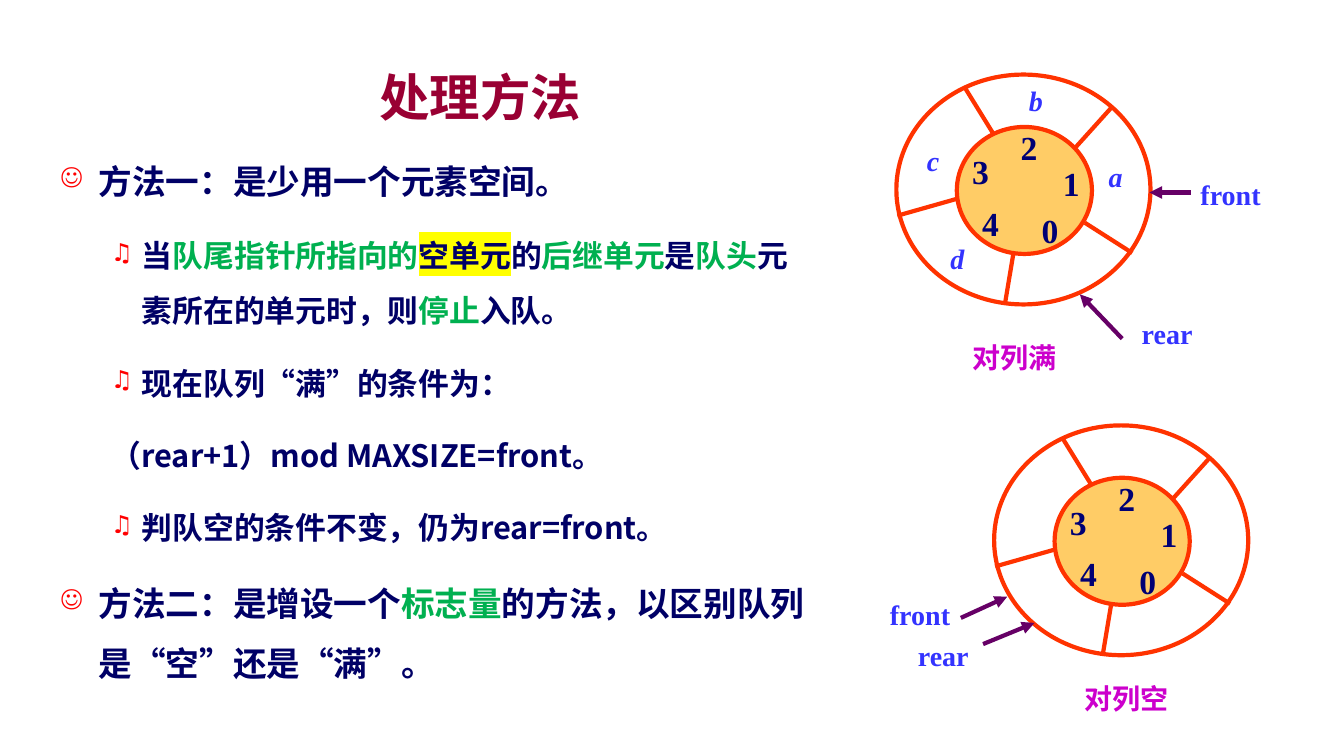
from lxml import etree
from pptx import Presentation
from pptx.dml.color import RGBColor
from pptx.enum.shapes import MSO_CONNECTOR, MSO_SHAPE
from pptx.enum.text import MSO_ANCHOR, PP_ALIGN
from pptx.oxml.ns import qn
from pptx.util import Inches, Pt

CENTER, LEFT = PP_ALIGN.CENTER, PP_ALIGN.LEFT
MIDDLE, TOP = MSO_ANCHOR.MIDDLE, MSO_ANCHOR.TOP
OVAL, STRAIGHT = MSO_SHAPE.OVAL, MSO_CONNECTOR.STRAIGHT

MAROON = RGBColor(0x99, 0x00, 0x33)
NAVY = RGBColor(0x00, 0x00, 0x66)
DIGIT = RGBColor(0x00, 0x00, 0x74)
GREEN = RGBColor(0x00, 0xB0, 0x50)
BLUE = RGBColor(0x33, 0x33, 0xFF)
MAGENTA = RGBColor(0xCC, 0x00, 0xCC)
PURPLE = RGBColor(0x66, 0x00, 0x66)
ORANGE = RGBColor(0xFF, 0x33, 0x00)
SAND = RGBColor(0xFF, 0xCC, 0x66)
RED = RGBColor(0xFF, 0x00, 0x00)
YELLOW = RGBColor(0xFF, 0xFF, 0x00)

CJK, SERIF = "Noto Sans CJK SC", "Times New Roman"

# Paragraph levels: bullet, left margin, first-line indent, size
METHOD = ("☺", 0.38, -0.38, 24)
DETAIL = ("♫", 0.81, -0.31, 22)
FORMULA = (None, 0.5, 0, 22)

# Each run is (text, colour, highlight)
BODY = [
    (METHOD, [("方法一：是少用一个元素空间。", NAVY, None)]),
    (DETAIL, [("当", NAVY, None), ("队尾指针所指向的", GREEN, None),
              ("空单元", NAVY, YELLOW), ("的", NAVY, None),
              ("后继单元", GREEN, None), ("是", NAVY, None),
              ("队头", GREEN, None), ("元素所在的单元时，则", NAVY, None),
              ("停止", GREEN, None), ("入队。", NAVY, None)]),
    (DETAIL, [("现在队列“满”的条件为：", NAVY, None)]),
    (FORMULA, [("（rear+1）mod MAXSIZE=front。", NAVY, None)]),
    (DETAIL, [("判队空的条件不变，仍为rear=front。", NAVY, None)]),
    (METHOD, [("方法二：是增设一个", NAVY, None), ("标志量", GREEN, None),
              ("的方法，以区别队列是“空”还是“满”。", NAVY, None)]),
]

# Ring parts, measured from the ring's top left corner
RING_W, RING_H = 2.52, 2.28
DISC = (0.6, 0.52, 1.34, 1.26)
DIVIDERS = [(1.87, 1.47, 2.34, 1.77), (1.78, 0.72, 2.14, 0.32),
            (0.68, 0.13, 0.97, 0.6), (1.16, 1.78, 1.08, 2.26),
            (0.01, 1.4, 0.61, 1.23)]
SLOTS = [(1.37, 1.34), (1.58, 0.88), (1.16, 0.52), (0.68, 0.76), (0.78, 1.27)]

FULL_QUEUE = {
    "items": [("a", 2.02, 0.84), ("b", 1.23, 0.09),
              ("c", 0.21, 0.68), ("d", 0.45, 1.66)],
    "pointers": [("front", 2.92, 1.02, (2.92, 1.17, 2.51, 1.17)),
                 ("rear", 2.29, 2.4, (2.24, 2.62, 1.82, 2.18))],
    "caption": ("对列满", 0.32, 2.59, 1.7),
}
EMPTY_QUEUE = {
    "items": [],
    "pointers": [("front", -1.13, 1.71, (-0.33, 1.91, 0.13, 1.7)),
                 ("rear", -0.9, 2.11, (-0.11, 2.17, 0.4, 1.96))],
    "caption": ("对列空", -0.11, 2.49, 2.85),
}


def add_child(parent, tag, **attrs):
    child = etree.SubElement(parent, qn(tag))
    for key, value in attrs.items():
        child.set(key, str(value))
    return child


def add_run(p, text, size, color, font=CJK, italic=False, highlight=None):
    r = p.add_run()
    r.text = text
    r.font.color.rgb = color
    rPr = r.font._element
    if highlight is not None:
        add_child(add_child(rPr, "a:highlight"), "a:srgbClr", val=highlight)
    style = {"size": Pt(size), "name": font, "bold": True, "italic": italic}
    for key, value in style.items():
        setattr(r.font, key, value)
    add_child(rPr, "a:ea", typeface=CJK)


def add_box(s, x, y, w, h, margins=(0.1, 0.05), anchor=TOP, align=CENTER):
    tf = s.shapes.add_textbox(*map(Inches, (x, y, w, h))).text_frame
    mx, my = map(Inches, margins)
    style = {"word_wrap": True, "vertical_anchor": anchor, "margin_left": mx,
             "margin_right": mx, "margin_top": my, "margin_bottom": my}
    for key, value in style.items():
        setattr(tf, key, value)
    tf.paragraphs[0].alignment = align
    return tf


def add_label(s, text, x, y, w, h, size, color, margins=(0, 0), italic=False):
    p = add_box(s, x, y, w, h, margins).paragraphs[0]
    add_run(p, text, size, color, SERIF, italic)


def add_line(s, x1, y1, x2, y2, color, arrow=False):
    line = s.shapes.add_connector(STRAIGHT, *map(Inches, (x1, y1, x2, y2)))
    line.line.color.rgb = color
    line.line.width = Pt(3)
    if arrow:
        add_child(line.line._get_or_add_ln(), "a:tailEnd", type="triangle")
    add_child(line._element.spPr, "a:effectLst")


def add_oval(s, x, y, w, h, fill=None):
    sp = s.shapes.add_shape(OVAL, *map(Inches, (x, y, w, h)))
    sp.shadow.inherit = False
    if fill is None:
        sp.fill.background()
    else:
        sp.fill.solid()
        sp.fill.fore_color.rgb = fill
    sp.line.color.rgb = ORANGE
    sp.line.width = Pt(3)


def add_title(s, x, y, w, h):
    tf = add_box(s, x, y, w, h, anchor=MIDDLE)
    add_run(tf.paragraphs[0], "处理方法", 36, MAROON)


def add_body(s, x, y, w, h):
    tf = add_box(s, x, y, w, h, align=LEFT)
    for i, ((bullet, margin, indent, size), runs) in enumerate(BODY):
        p = tf.add_paragraph() if i else tf.paragraphs[0]
        p.line_spacing = 1.5
        p.space_before = p.space_after = Pt(6)
        pPr = p._p.get_or_add_pPr()
        pPr.set("marL", str(Inches(margin)))
        pPr.set("indent", str(Inches(indent)))
        if bullet:
            add_child(add_child(pPr, "a:buClr"), "a:srgbClr", val=RED)
            add_child(pPr, "a:buSzPct", val=80000)
            add_child(pPr, "a:buChar", char=bullet)
        for text, color, highlight in runs:
            add_run(p, text, size, color, highlight=highlight)


def add_queue(s, x, y, queue):
    # Ring with its cells and slot numbers
    add_oval(s, x + DISC[0], y + DISC[1], *DISC[2:], fill=SAND)
    add_oval(s, x, y, RING_W, RING_H)
    for x1, y1, x2, y2 in DIVIDERS:
        add_line(s, x + x1, y + y1, x + x2, y + y2, ORANGE)
    for number, (dx, dy) in enumerate(SLOTS):
        add_label(s, str(number), x + dx, y + dy, 0.31, 0.4, 24, DIGIT)
    # Stored elements
    for text, dx, dy in queue["items"]:
        add_label(s, text, x + dx, y + dy, 0.31, 0.33, 20, BLUE, italic=True)
    # Front and rear pointers
    for text, dx, dy, (x1, y1, x2, y2) in queue["pointers"]:
        add_label(s, text, x + dx, y + dy, 0.79, 0.33, 20, BLUE)
        add_line(s, x + x1, y + y1, x + x2, y + y2, PURPLE, arrow=True)
    # Caption
    text, dx, dy, w = queue["caption"]
    add_label(s, text, x + dx, y + dy, w, 0.44, 20, MAGENTA, (0.1, 0.05))


def main():
    prs = Presentation()
    prs.slide_width, prs.slide_height = Inches(13.33), Inches(7.5)
    s = prs.slides.add_slide(prs.slide_layouts[6])
    add_title(s, 1, 0.58, 7.53, 0.75)
    add_body(s, 0.5, 1.35, 7.68, 5.67)
    add_queue(s, 8.89, 0.74, FULL_QUEUE)
    add_queue(s, 9.86, 4.22, EMPTY_QUEUE)
    prs.save("out.pptx")


if __name__ == "__main__":
    main()
